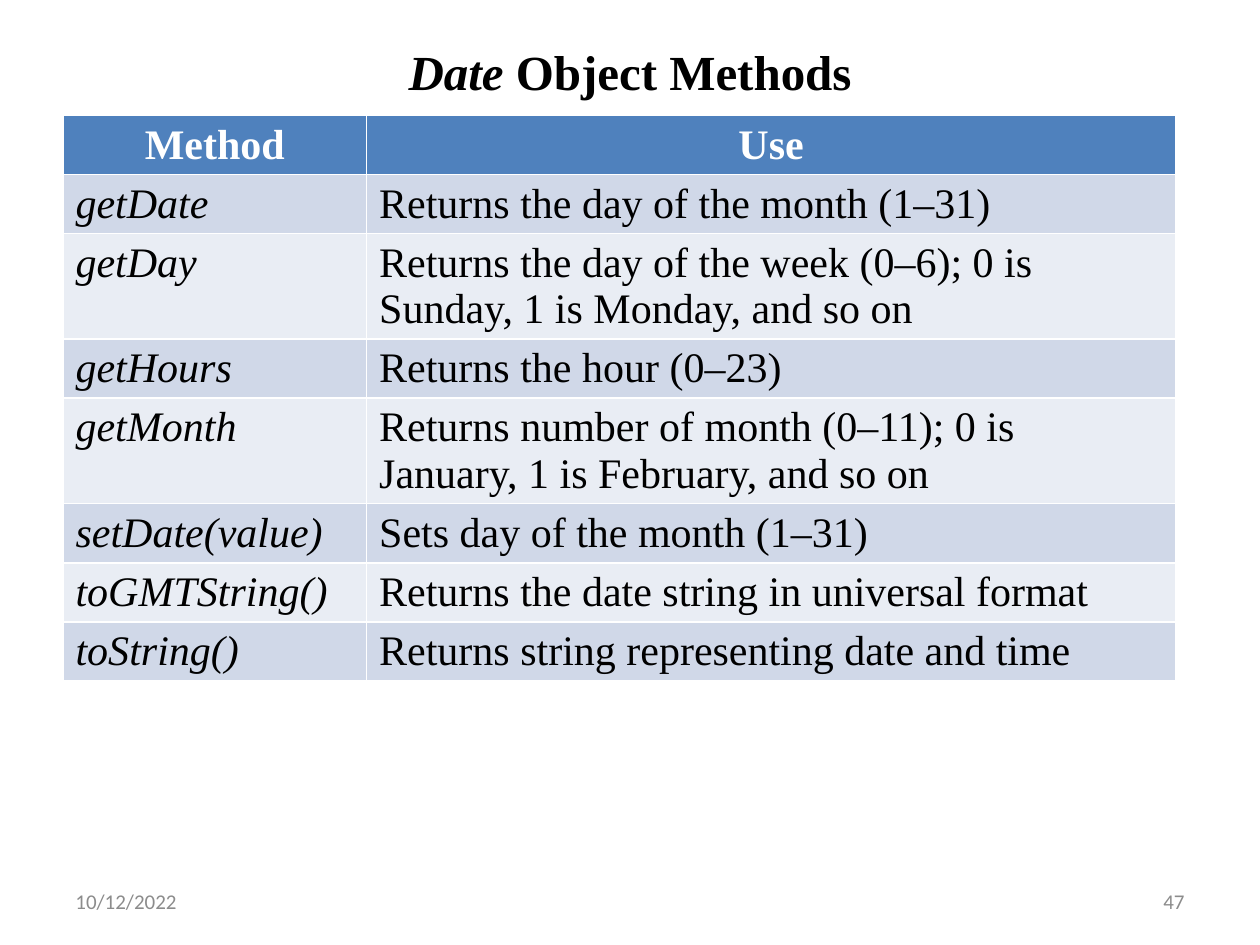
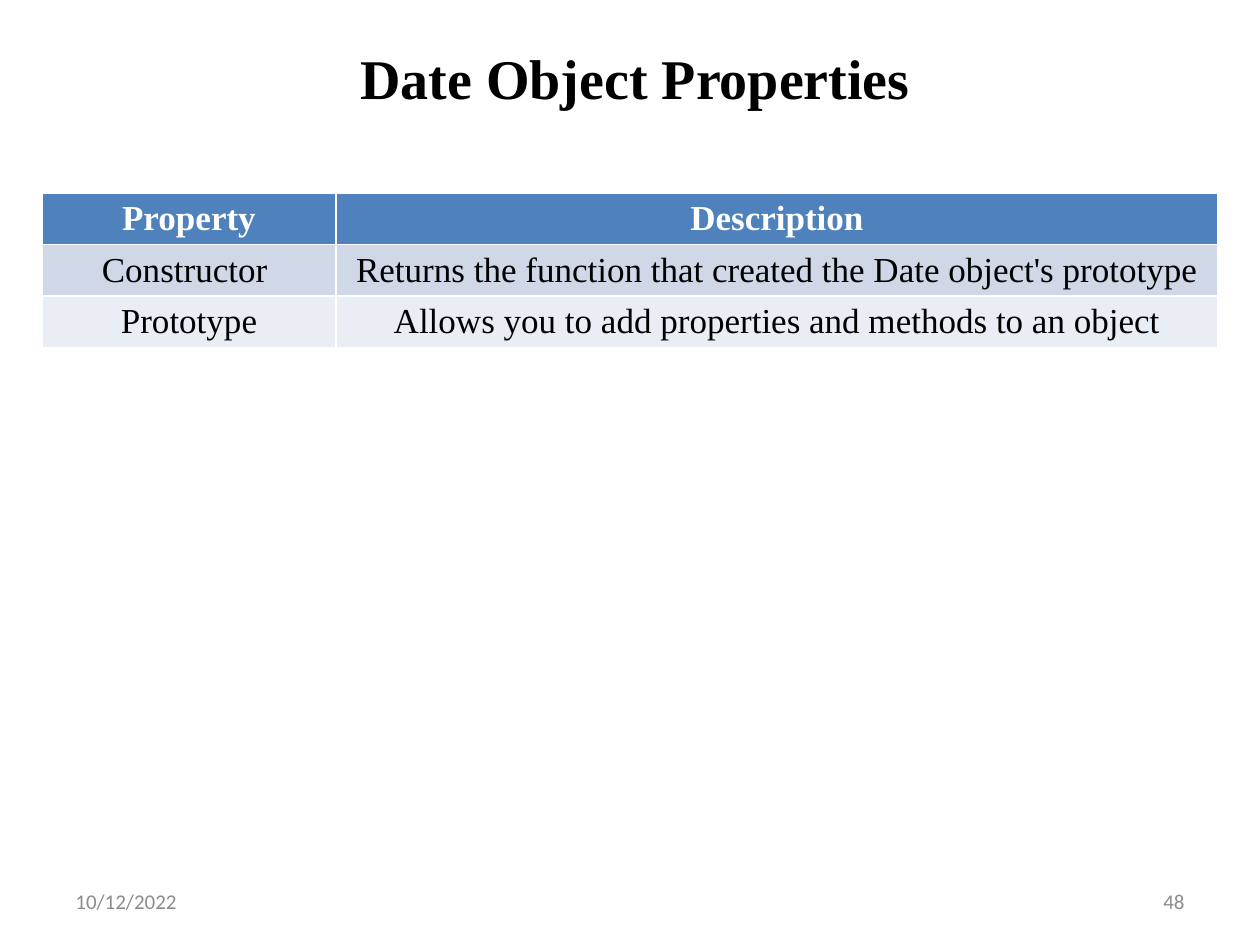
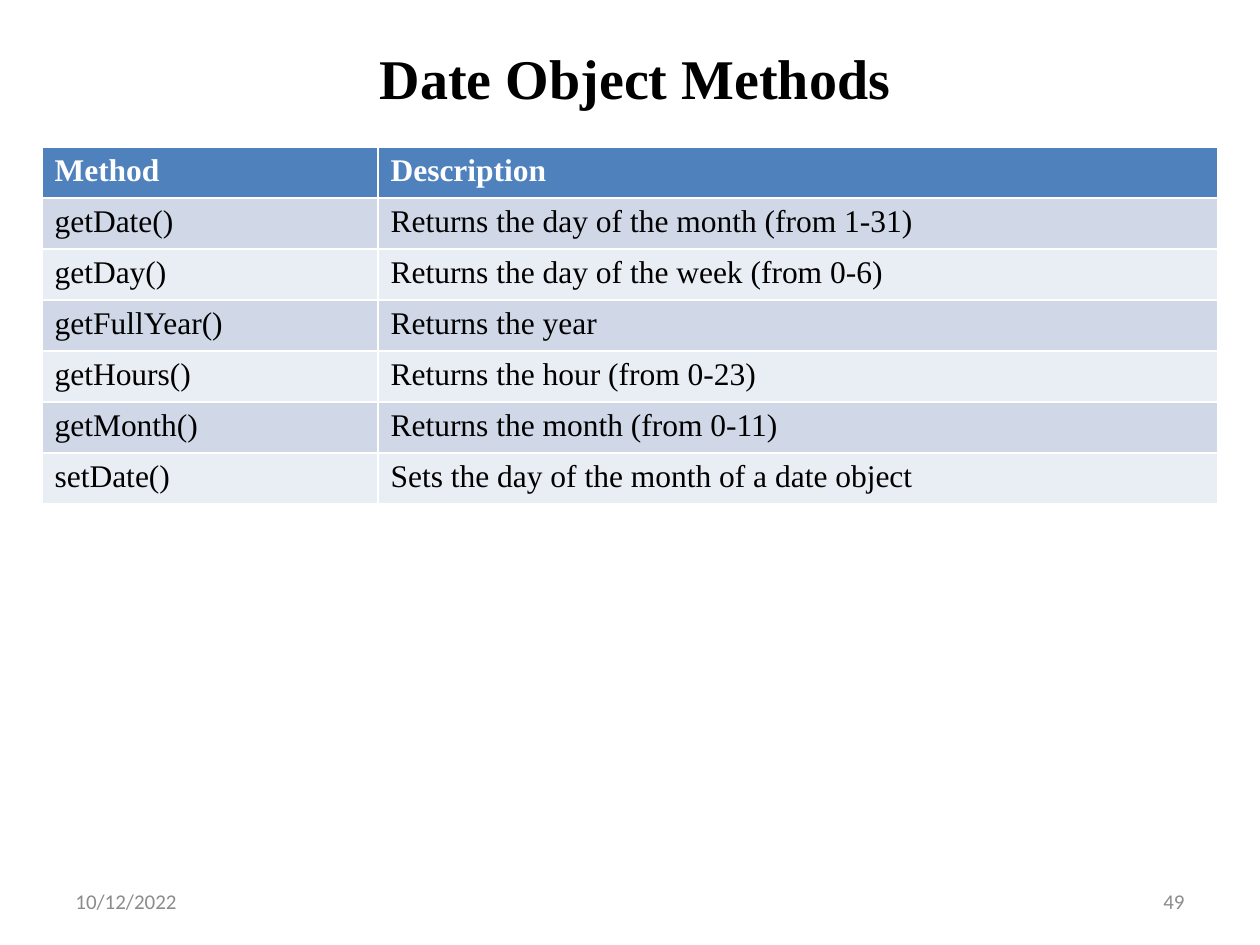
"""Builds three slides about the methods and properties of the Date object."""
from pptx import Presentation
from pptx import util as u
from pptx.dml.color import RGBColor
from pptx.enum import text

BLACK = RGBColor(0x00, 0x00, 0x00)
WHITE = RGBColor(0xFF, 0xFF, 0xFF)
GRAY = RGBColor(0x8C, 0x8C, 0x8C)
HEADER_BLUE = RGBColor(0x4F, 0x81, 0xBD)
BANDS = [RGBColor(0xE9, 0xED, 0xF4), RGBColor(0xD0, 0xD8, 0xE8)]
SERIF, SANS = "Times New Roman", "Calibri"
LEFT, CENTER, RIGHT = text.PP_ALIGN.LEFT, text.PP_ALIGN.CENTER, text.PP_ALIGN.RIGHT

deck = Presentation()
deck.slide_width, deck.slide_height = u.Inches(10), u.Inches(7.5)
COL, ROW = deck.slide_width / 30, deck.slide_height / 45


def grid(left, top, width, height):
    """Turn grid columns and rows into slide lengths."""
    return [int(n * unit) for n, unit in zip((left, top, width, height), (COL, ROW) * 2)]


def style(paragraph, font, size, color, align=LEFT, bold=False, italic=False):
    """Format a paragraph and all of its runs."""
    paragraph.alignment = align
    for run in paragraph.runs:
        run.font.name, run.font.size, run.font.color.rgb = font, u.Pt(size), color
        run.font.bold, run.font.italic = bold, italic


pages = [
    dict(title=["Date ", "Object Methods"], title_at=(1.5, 1.8, 27, 3.2), title_size=28,
         table_at=(1.5, 5.5), widths=(7.23, 19.26), row_height=2.6, size=24,
         header_align=CENTER, body_align=LEFT, italic_methods=True,
         rows=[("Method", "Use"),
               ("getDate", "Returns the day of the month (1–31)"),
               ("getDay", "Returns the day of the week (0–6); 0 is Sunday, 1 is Monday, and so on"),
               ("getHours", "Returns the hour (0–23)"),
               ("getMonth", "Returns number of month (0–11); 0 is January, 1 is February, and so on"),
               ("setDate(value)", "Sets day of the month (1–31)"),
               ("toGMTString()", "Returns the date string in universal format"),
               ("toString()", "Returns string representing date and time")]),
    dict(title=["Date Object Properties"], title_at=(1, 1.8, 28.25, 3.7), title_size=32,
         table_at=(1, 9.2), widths=(7, 21), row_height=2.43, size=20,
         header_align=CENTER, body_align=CENTER, italic_methods=False,
         rows=[("Property", "Description"),
               ("Constructor ", "Returns the function that created the Date object's prototype"),
               ("Prototype", "Allows you to add properties and methods to an object")]),
    dict(title=["Date Object Methods"], title_at=(1, 1.8, 28.25, 3.7), title_size=32,
         table_at=(1, 7), widths=(8, 20), row_height=2.43, size=18,
         header_align=LEFT, body_align=LEFT, italic_methods=False,
         rows=[("Method", "Description"),
               ("getDate()", "Returns the day of the month (from 1-31)"),
               ("getDay()", "Returns the day of the week (from 0-6)"),
               ("getFullYear()", "Returns the year"),
               ("getHours()", "Returns the hour (from 0-23)"),
               ("getMonth()", "Returns the month (from 0-11)"),
               ("setDate()", "Sets the day of the month of a date object")]),
]

for number, page in enumerate(pages, start=47):
    slide = deck.slides.add_slide(deck.slide_layouts[5])

    title = slide.shapes.title
    title.left, title.top, title.width, title.height = grid(*page["title_at"])
    title.text_frame.auto_size = text.MSO_AUTO_SIZE.NONE
    title.text_frame.vertical_anchor = text.MSO_ANCHOR.MIDDLE
    heading = title.text_frame.paragraphs[0]
    for part in page["title"]:
        heading.add_run().text = part
    style(heading, SERIF, page["title_size"], BLACK, CENTER, bold=True)
    heading.runs[0].font.italic = len(page["title"]) > 1

    rows, widths = page["rows"], page["widths"]
    place = grid(*page["table_at"], sum(widths), page["row_height"] * len(rows))
    reference = slide.shapes.add_table(len(rows), len(widths), *place).table
    for column, width in zip(reference.columns, widths):
        column.width = int(width * COL)
    for r, entries in enumerate(rows):
        reference.rows[r].height = int(page["row_height"] * ROW)
        for c, entry in enumerate(entries):
            cell = reference.cell(r, c)
            cell.text_frame.text = entry
            cell.fill.solid()
            cell.fill.fore_color.rgb = BANDS[r % 2] if r else HEADER_BLUE
            style(cell.text_frame.paragraphs[0], SERIF, page["size"],
                  BLACK if r else WHITE,
                  page["body_align"] if r else page["header_align"],
                  bold=r == 0, italic=page["italic_methods"] and r > 0 and c == 0)

    for left, note, align in [(1.5, "10/12/2022", LEFT), (21.5, str(number), RIGHT)]:
        footer = slide.shapes.add_textbox(*grid(left, 41.7, 7, 2.4)).text_frame
        footer.word_wrap = True
        footer.vertical_anchor = text.MSO_ANCHOR.MIDDLE
        footer.text = note
        style(footer.paragraphs[0], SANS, 12, GRAY, align)

deck.save("out.pptx")
